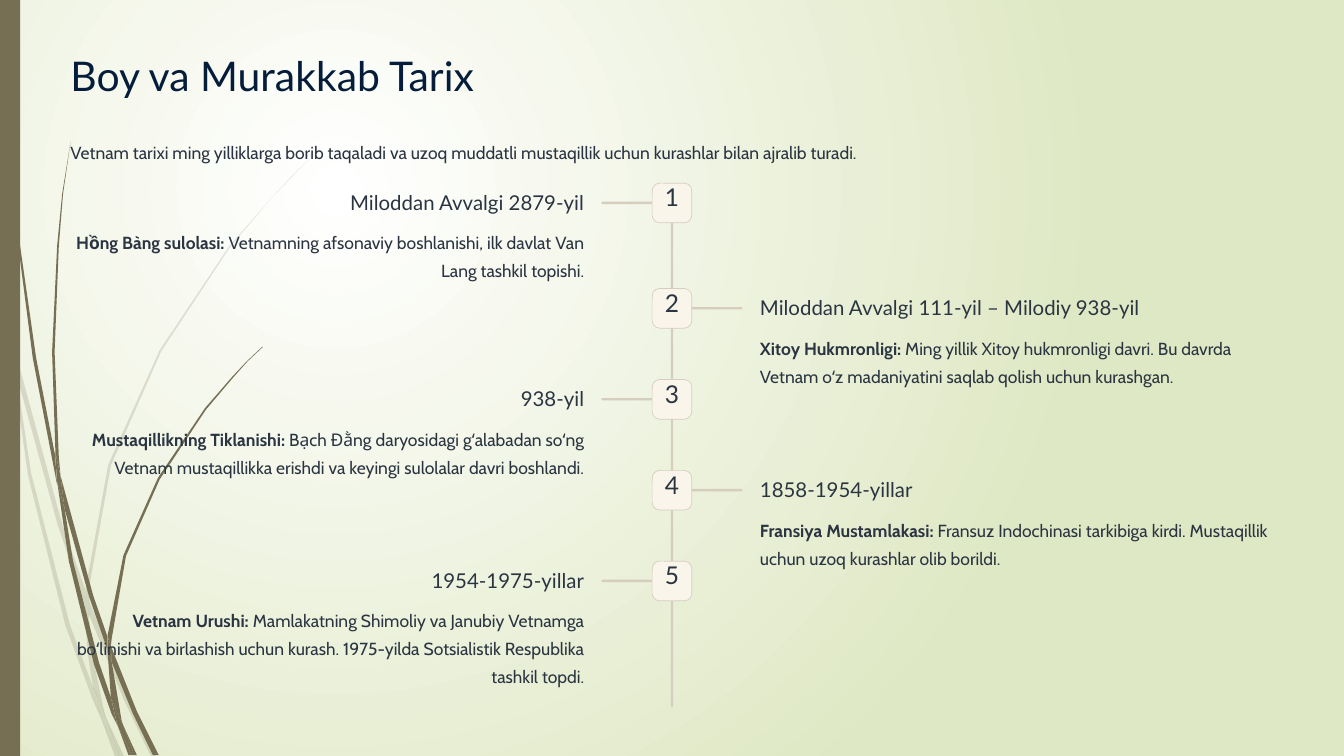
from pptx import Presentation
from pptx.dml.color import RGBColor
from pptx.enum.shapes import MSO_SHAPE
from pptx.enum.text import MSO_ANCHOR, MSO_AUTO_SIZE, PP_ALIGN
from pptx.oxml import parse_xml
from pptx.oxml.ns import nsdecls, qn
from pptx.util import Pt

RECT, ROUND = MSO_SHAPE.RECTANGLE, MSO_SHAPE.ROUNDED_RECTANGLE
LEFT, CENTER, RIGHT = PP_ALIGN.LEFT, PP_ALIGN.CENTER, PP_ALIGN.RIGHT
TOP = MSO_ANCHOR.TOP
NO_FIT = MSO_AUTO_SIZE.NONE

COLORS = {
    "paper": "FFFFFF", "sage": "DFE8C4", "grass": "766F54", "title": "051D3A",
    "ink": "2B3541", "line": "D5CDBE", "badge": "FAF5EB",
}
W, H = 1152, 648
GRASS_UNIT = Pt(0.72)

PALE_GRASS = [
    [(13, 420), (10, 386), (0, 338), (0, 359), (12, 413)],
    [(69, 626), (101, 719), (102, 703), (74, 624), (17, 414), (21, 451)],
    [(111, 728), (106, 715), (106, 732), (147, 832), (180, 901), (186, 901), (153, 830)],
    [(143, 901), (148, 901), (126, 854)],
    [(111, 819), (83, 743), (37, 563), (20, 451), (13, 420), (33, 564), (78, 745),
     (110, 832), (121, 857), (119, 848)],
    [(101, 719), (104, 775), (111, 820), (116, 830), (126, 854), (124, 847), (109, 775),
     (106, 732), (105, 730)],
    [(106, 700), (132, 554), (192, 418), (274, 294), (322, 237), (348, 210), (374, 184),
     (347, 210), (322, 237), (273, 293), (190, 417), (129, 553), (102, 700), (102, 703),
     (106, 715)],
    [(121, 857), (137, 901), (142, 901)],
    [(105, 730), (106, 732), (106, 715), (102, 703), (101, 719)],
    [(116, 830), (112, 820), (119, 849), (121, 857), (142, 901), (143, 901), (126, 853)],
]
DARK_GRASS = [
    [(8, 132), (20, 279), (39, 426), (67, 572), (68, 577), (66, 549), (66, 544),
     (43, 426), (22, 279), (9, 131), (5, 58), (4, 0), (4, 58)],
    [(106, 710), (128, 774), (128, 760), (128, 758), (111, 709), (72, 566), (77, 606)],
    [(136, 779), (132, 769), (133, 788), (158, 849), (182, 899), (189, 899), (163, 847)],
    [(132, 830), (118, 789), (87, 668), (77, 606), (68, 573), (82, 668), (112, 791),
     (133, 850), (141, 866), (139, 861)],
    [(72, 566), (70, 544), (65, 419), (70, 293), (75, 231), (84, 169), (74, 231),
     (68, 293), (62, 419), (66, 539)],
    [(160, 899), (163, 899), (146, 862)],
    [(68, 573), (77, 606), (72, 567), (66, 539), (66, 544)],
    [(133, 760), (150, 662), (190, 571), (245, 488), (278, 449), (295, 430), (313, 413),
     (312, 413), (294, 430), (277, 448), (244, 486), (188, 569), (147, 661), (128, 757),
     (132, 769)],
    [(141, 866), (153, 899), (157, 899)],
    [(128, 774), (132, 830), (139, 847), (146, 862), (145, 859), (133, 788), (130, 781)],
    [(128, 774), (130, 781), (133, 787), (132, 769), (128, 758), (128, 760)],
    [(139, 847), (132, 830), (139, 860), (141, 866), (157, 899), (160, 899), (146, 862)],
]

INTRO = ("Vetnam tarixi ming yilliklarga borib taqaladi va uzoq muddatli "
         "mustaqillik uchun kurashlar bilan ajralib turadi.")
EVENTS = [
    (157, 210, 48, "Miloddan Avvalgi 2879-yil", "Hồng Bàng sulolasi:",
     " Vetnamning afsonaviy boshlanishi, ilk davlat Van Lang tashkil topishi."),
    (247.3, 336, 48, "Miloddan Avvalgi 111-yil – Milodiy 938-yil", "Xitoy Hukmronligi:",
     " Ming yillik Xitoy hukmronligi davri. Bu davrda Vetnam oʻz madaniyatini "
     "saqlab qolish uchun kurashgan."),
    (325.3, 177, 72, "938-yil", "Mustaqillikning Tiklanishi:",
     " Bạch Đằng daryosidagi gʻalabadan soʻng Vetnam mustaqillikka erishdi va "
     "keyingi sulolalar davri boshlandi."),
    (403.2, 177, 48, "1858-1954-yillar", "Fransiya Mustamlakasi:",
     " Fransuz Indochinasi tarkibiga kirdi. Mustaqillik uchun uzoq kurashlar "
     "olib borildi."),
    (481, 177, 72, "1954-1975-yillar", "Vetnam Urushi:",
     " Mamlakatning Shimoliy va Janubiy Vetnamga boʻlinishi va birlashish uchun "
     "kurash. 1975-yilda Sotsialistik Respublika tashkil topdi."),
]


def rgb(name):
    return RGBColor.from_string(COLORS[name])


def paint(sp, fill, line=None):
    sp.shadow.inherit = False
    sp.fill.solid()
    sp.fill.fore_color.rgb = rgb(fill)
    if line:
        sp.line.color.rgb = rgb(line)
        sp.line.width = Pt(0.6)
    else:
        sp.line.fill.background()


def add_block(slide, kind, x, y, w, h, fill, line=None, radius=0.5):
    sp = slide.shapes.add_shape(kind, Pt(x), Pt(y), Pt(w), Pt(h))
    if kind == ROUND:
        sp.adjustments[0] = radius
    paint(sp, fill, line)


def write(sp, texts, font, size, spacing, color="ink", align=LEFT):
    tf = sp.text_frame
    tf.word_wrap = True
    tf.auto_size = NO_FIT
    tf.vertical_anchor = TOP
    tf.margin_left = tf.margin_right = tf.margin_top = tf.margin_bottom = 0
    p = tf.paragraphs[0]
    p.alignment = align
    p.line_spacing = Pt(spacing)
    p.font.name, p.font.size = font, Pt(size)
    p.font.color.rgb = rgb(color)
    for text, bold in texts:
        r = p.add_run()
        r.text = text
        if bold:
            r.font.bold = True


def add_text(slide, x, y, w, h, *args, **kwargs):
    sp = slide.shapes.add_textbox(Pt(x), Pt(y), Pt(w), Pt(h))
    write(sp, *args, **kwargs)


def set_background(slide):
    slide.element.cSld.insert(0, parse_xml(
        f'<p:bg {nsdecls("p", "a")}><p:bgPr><a:gradFill rotWithShape="1"><a:gsLst>'
        f'<a:gs pos="0"><a:srgbClr val="{COLORS["paper"]}"/></a:gs>'
        f'<a:gs pos="100000"><a:srgbClr val="{COLORS["sage"]}"/></a:gs></a:gsLst>'
        '<a:path path="circle"><a:fillToRect l="50000" t="50000" r="100000" b="100000"/>'
        '</a:path></a:gradFill><a:effectLst/></p:bgPr></p:bg>'))


def add_blade(slide, outline, opacity):
    builder = slide.shapes.build_freeform(*outline[0], scale=GRASS_UNIT)
    builder.add_line_segments(outline[1:], close=True)
    sp = builder.convert_to_shape()
    paint(sp, "grass")
    if opacity < 100:
        color = sp.element.spPr.find(qn("a:solidFill"))[0]
        color.append(parse_xml(f'<a:alpha {nsdecls("a")} val="{opacity * 1000}"/>'))


def add_grass(slide, bar_w, bar_h):
    for blades, opacity in ((PALE_GRASS, 20), (DARK_GRASS, 100)):
        for outline in blades:
            add_blade(slide, outline, opacity)
    add_block(slide, RECT, 0, 0, bar_w, bar_h, "grass")


def add_header(slide, x, y, w):
    sp = slide.shapes.title
    sp.left, sp.top, sp.width, sp.height = Pt(x), Pt(y), Pt(377), Pt(44)
    write(sp, [("Boy va Murakkab Tarix", False)], "Lato", 35, 44, "title")
    add_text(slide, x, y + 74.5, w, 24, [(INTRO, False)], "Cabin", 15, 24)


def add_event(slide, cx, number, event):
    y, head_w, body_h, heading, lead, detail = event
    on_left = number % 2 == 1
    align = RIGHT if on_left else LEFT
    body_w = 440.6
    arm_x = cx - 60.5 if on_left else cx + 15.1
    head_x = cx - 75.2 - head_w if on_left else cx + 75.4
    body_x = cx - 75.2 - body_w if on_left else cx + 75.4
    add_block(slide, ROUND, arm_x, y + 15.9, 45.4, 2, "line")
    add_block(slide, ROUND, cx - 17, y, 34, 34, "badge", "line", 0.19)
    add_text(slide, cx - 10.8, y + 3.5, 21.6, 26.6, [(str(number), False)], "Lato",
             21, 21, align=CENTER)
    add_text(slide, head_x, y + 5, head_w, 22, [(heading, False)], "Lato", 17.5, 22,
             align=align)
    add_text(slide, body_x, y + 36.2, body_w, body_h, [(lead, True), (detail, False)],
             "Cabin", 15, 24, align=align)


def add_timeline(slide, cx, y, h):
    add_block(slide, ROUND, cx - 1, y, 2, h, "line")
    for number, event in enumerate(EVENTS, 1):
        add_event(slide, cx, number, event)


def main():
    prs = Presentation()
    prs.slide_width, prs.slide_height = Pt(W), Pt(H)
    slide = prs.slides.add_slide(prs.slide_layouts[5])
    set_background(slide)
    add_grass(slide, 17.3, H)
    add_header(slide, 60.4, 41.5, 1032)
    add_timeline(slide, W / 2, 157, 449.3)
    prs.save("out.pptx")


if __name__ == "__main__":
    main()
